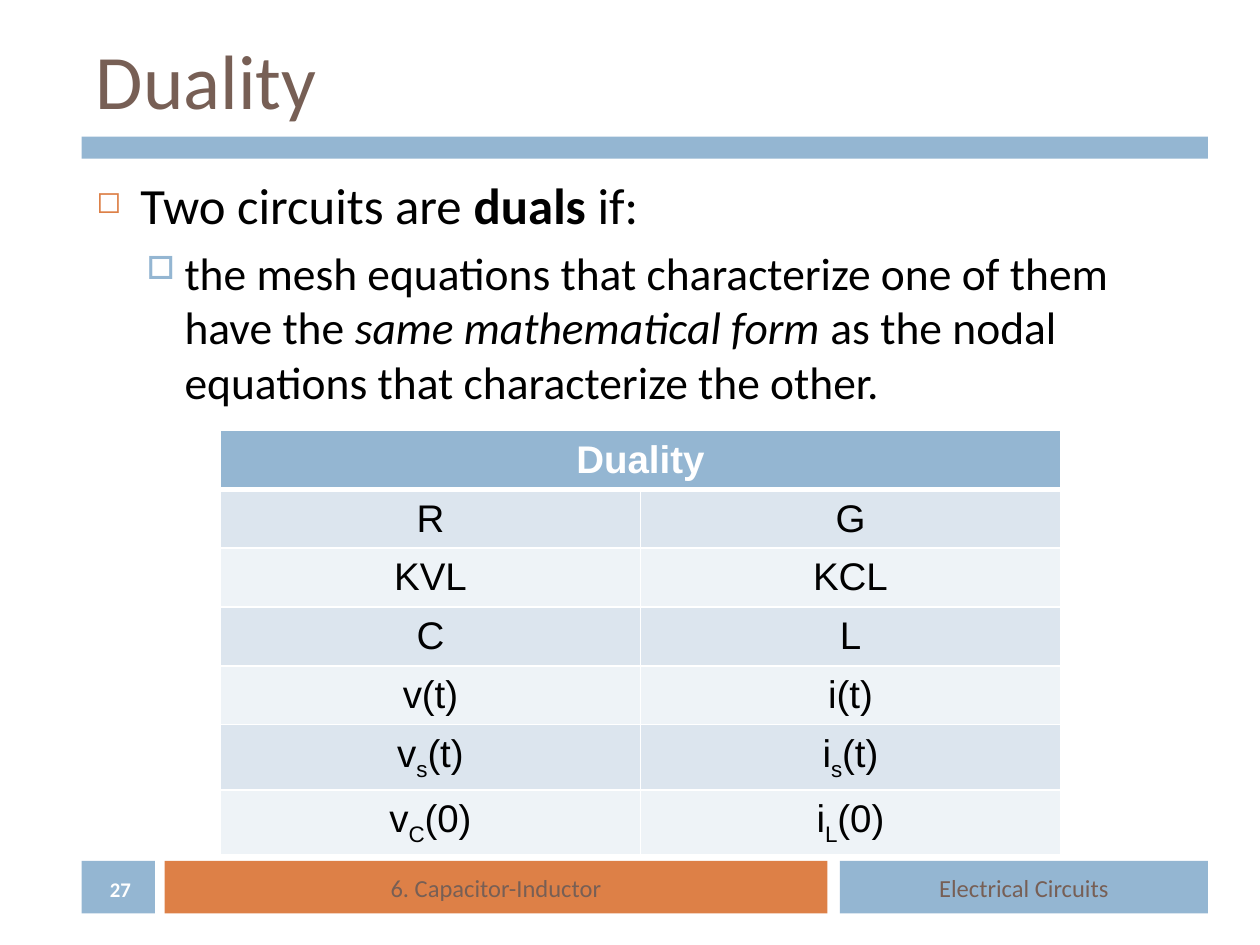
from lxml import etree
from pptx import Presentation
from pptx import util as u
from pptx.dml import color
from pptx.enum import shapes, text
from pptx.oxml import ns

Pt = u.Pt
BLUE, ORANGE, BROWN = "94B6D2", "DD8047", "775F55"
WHITE, BLACK = "FFFFFF", "000000"
BANDS = ("DCE5EE", "EEF3F7")
CENTER = text.PP_ALIGN.CENTER
MIDDLE = text.MSO_ANCHOR.MIDDLE


def rgb(value):
    """Turn a hex string into a colour."""
    return color.RGBColor.from_string(value)


def add_element(parent, tag, **attributes):
    """Append a drawing element with the given attributes."""
    element = etree.SubElement(parent, ns.qn(tag))
    for name, value in attributes.items():
        element.set(name, str(value))
    return element


def write(paragraph, runs, size=14, font="Calibri", fill=BLACK, bold=False, align=None):
    """Write a string, or (string, style) pairs, into a paragraph."""
    paragraph.alignment = align
    for content, style in [(runs, "")] if isinstance(runs, str) else runs:
        run = paragraph.add_run()
        run.text = content
        run.font.size = Pt(size)
        run.font.name = font
        run.font.color.rgb = rgb(fill)
        run.font.bold = bold or style == "bold"
        run.font.italic = style == "italic"
        if style == "sub":
            run.font._element.set("baseline", "-25000")


def add_bullet(paragraph, character, fill, percent, left, hanging):
    """Give a paragraph a coloured bullet and a hanging indent."""
    properties = paragraph._p.get_or_add_pPr()
    properties.set("marL", str(Pt(left)))
    properties.set("indent", str(-Pt(hanging)))
    add_element(add_element(properties, "a:buClr"), "a:srgbClr", val=fill)
    add_element(properties, "a:buSzPct", val=percent * 1000)
    add_element(properties, "a:buChar", char=character)


def add_bar(slide, box, fill, label=None):
    """Draw a filled bar with an optional centred label."""
    bar = slide.shapes.add_shape(shapes.MSO_SHAPE.RECTANGLE, *map(Pt, box))
    bar.shadow.inherit = False
    bar.fill.solid()
    bar.fill.fore_color.rgb = rgb(fill)
    bar.line.fill.background()
    if label:
        bar.text_frame.vertical_anchor = MIDDLE
        write(bar.text_frame.paragraphs[0], label, fill=BROWN, align=CENTER)


def add_text_frame(slide, box, anchor=text.MSO_ANCHOR.TOP):
    """Add a wrapping text box and return its frame."""
    frame = slide.shapes.add_textbox(*map(Pt, box)).text_frame
    frame.word_wrap = True
    frame.vertical_anchor = anchor
    return frame


def add_header(slide, left, top, width):
    """Place the title above its rule."""
    frame = add_text_frame(slide, (left + 1.2, top, width - 1.2, 54), MIDDLE)
    write(frame.paragraphs[0], "Duality", size=44, fill=BROWN)
    add_bar(slide, (left, top + 60, width, 12.6), BLUE)


def add_body(slide, box):
    """Place the definition of dual circuits."""
    frame = add_text_frame(slide, box)
    first, second = frame.paragraphs[0], frame.add_paragraph()
    add_bullet(first, "◻", ORANGE, 60, 25.2, 25.2)
    write(first, [("Two circuits are ", ""), ("duals", "bold"), (" if:", "")], size=29)
    second.level = 1
    second.space_before = Pt(5.5)
    add_bullet(second, "□", BLUE, 70, 50.4, 21.6)
    write(second, [
        ("the mesh equations that characterize one of them have the ", ""),
        ("same mathematical form ", "italic"),
        ("as the nodal equations that characterize the other.", ""),
    ], size=26)


def format_cell(cell, runs, fill, ink=BLACK, bold=False, top=1, bottom=1):
    """Fill, border and write one table cell."""
    properties = cell._tc.get_or_add_tcPr()
    for side, width in (("L", 1), ("R", 1), ("T", top), ("B", bottom)):
        line = add_element(properties, f"a:ln{side}", w=Pt(width))
        add_element(add_element(line, "a:solidFill"), "a:srgbClr", val=WHITE)
    cell.fill.solid()
    cell.fill.fore_color.rgb = rgb(fill)
    cell.vertical_anchor = MIDDLE
    write(cell.text_frame.paragraphs[0], runs, size=22, font="Arial",
          fill=ink, bold=bold, align=CENTER)


def add_dual_table(slide, left, top, width, row_height):
    """Place the table of dual quantities."""
    def indexed(base, index, argument):
        return [(base, ""), (index, "sub"), (argument, "")]

    pairs = [
        ("R", "G"), ("KVL", "KCL"), ("C", "L"), ("v(t)", "i(t)"),
        (indexed("v", "s", "(t)"), indexed("i", "s", "(t)")),
        (indexed("v", "C", "(0)"), indexed("i", "L", "(0)")),
    ]
    count = len(pairs) + 1
    box = (left, top, width, row_height * count)
    table = slide.shapes.add_table(count, 2, *map(Pt, box)).table
    table.cell(0, 0).merge(table.cell(0, 1))
    format_cell(table.cell(0, 0), "Duality", BLUE, WHITE, True, bottom=3)
    for row, pair in enumerate(pairs, 1):
        for column, runs in enumerate(pair):
            format_cell(table.cell(row, column), runs, BANDS[(row - 1) % 2],
                        top=3 if row == 1 else 1)


def add_footer(slide, left, top, height):
    """Place the page number, chapter and course bars."""
    add_bar(slide, (left, top, 42, height), BLUE)
    add_bar(slide, (left + 433.4, top, 210.2, height), BLUE, "Electrical Circuits")
    add_bar(slide, (left + 47.5, top, 378.7, height), ORANGE, "6. Capacitor-Inductor")
    frame = add_text_frame(slide, (left + 1.2, top + 6.4, 42, 19.4), MIDDLE)
    write(frame.paragraphs[0], "27", size=11.9, fill=WHITE, bold=True, align=CENTER)


def main():
    """Build and save the slide."""
    presentation = Presentation()
    presentation.slide_width, presentation.slide_height = Pt(720), Pt(540)
    slide = presentation.slides.add_slide(presentation.slide_layouts[6])
    add_header(slide, 46.6, 18, 643.6)
    add_body(slide, (48, 96, 642, 384))
    add_footer(slide, 46.6, 492, 30)
    add_dual_table(slide, 126, 246, 480, 29.5)
    presentation.save("out.pptx")


if __name__ == "__main__":
    main()
